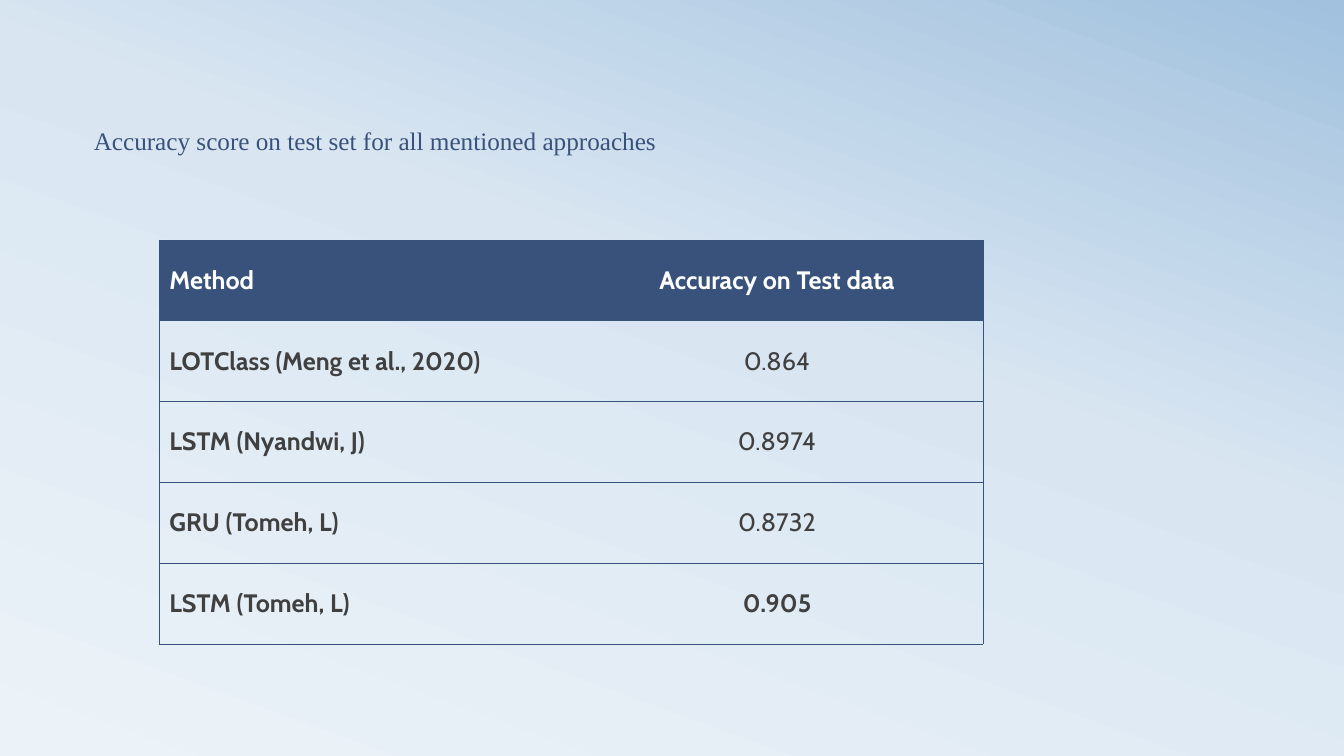
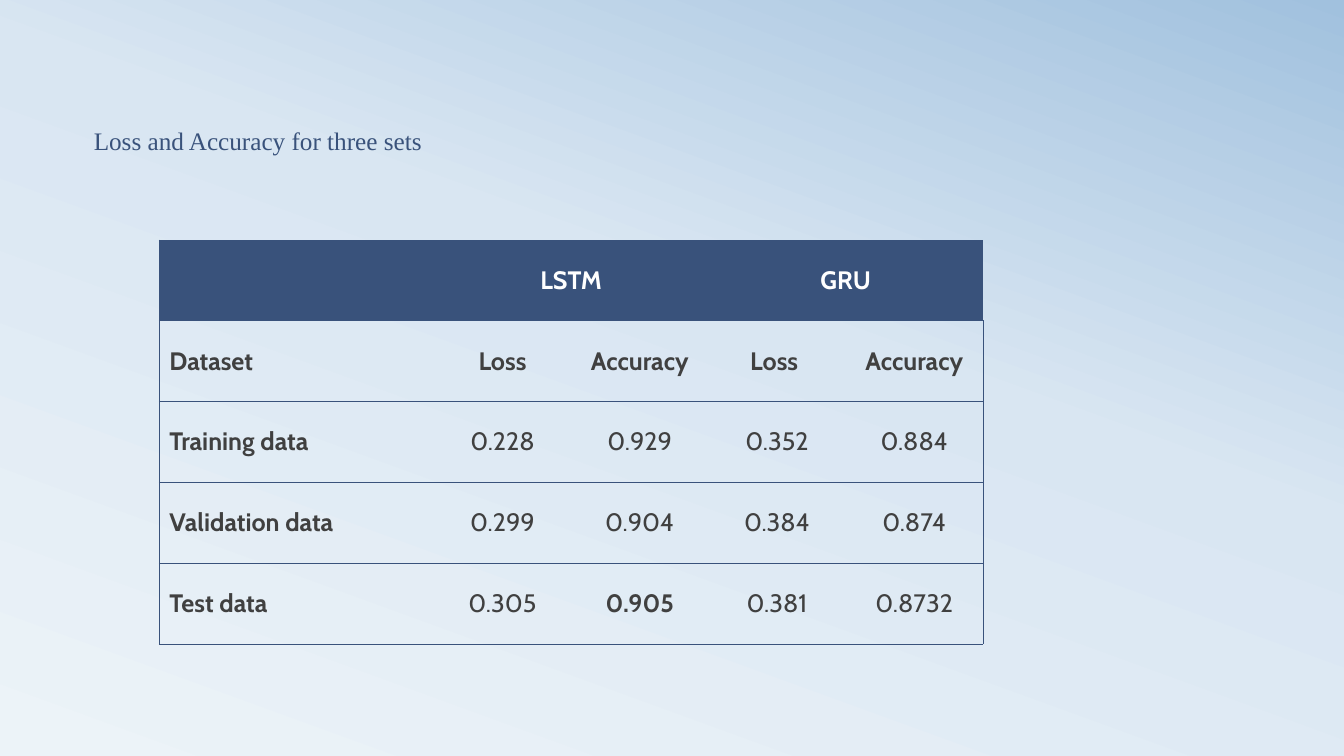
import copy

import lxml.etree
import pptx
import pptx.dml.color
import pptx.enum.text
import pptx.oxml.ns
import pptx.util

Inches = pptx.util.Inches
Pt = pptx.util.Pt
RGBColor = pptx.dml.color.RGBColor
PP_ALIGN = pptx.enum.text.PP_ALIGN
MSO_ANCHOR = pptx.enum.text.MSO_ANCHOR
qn = pptx.oxml.ns.qn

NAVY = RGBColor(0x39, 0x52, 0x7B)
WHITE = RGBColor(0xFF, 0xFF, 0xFF)
CHARCOAL = RGBColor(0x40, 0x40, 0x40)
BACKGROUND_STOPS = [
    (0, RGBColor(0xEC, 0xF3, 0xF8)),
    (0.58, RGBColor(0xD9, 0xE6, 0xF2)),
    (1, RGBColor(0xA1, 0xC1, 0xDE)),
]
TITLE_FONT = "Times New Roman"
TABLE_FONT = "Cabin"
TEXT_SIZE = Pt(18)
BORDER_WIDTH = Pt(0.5)
PLAIN_TABLE_STYLE = "{2D5ABB26-0587-4C30-8999-92F81FD0307C}"
TABLE_LEFT, TABLE_TOP = Inches(1.58), Inches(2.38)
TABLE_WIDTH, TABLE_HEIGHT = Inches(8.17), Inches(4.01)
BEST_SCORE = "0.905"

METHOD_ROWS = [
    ["Method", "Accuracy on Test data"],
    ["LOTClass (Meng et al., 2020)", "0.864"],
    ["LSTM (Nyandwi, J)", "0.8974"],
    ["GRU (Tomeh, L)", "0.8732"],
    ["LSTM (Tomeh, L)", BEST_SCORE],
]
DATASET_ROWS = [
    ["", "LSTM", "", "GRU", ""],
    ["Dataset", "Loss", "Accuracy", "Loss ", "Accuracy"],
    ["Training data", "0.228", "0.929", "0.352", "0.884"],
    ["Validation data", "0.299", "0.904", "0.384", "0.874"],
    ["Test data", "0.305", BEST_SCORE, "0.381", "0.8732"],
]


def set_background(master):
    fill = master.background.fill
    fill.gradient()
    fill.gradient_angle = 70
    stop_list = master.element.xpath(".//p:bg//a:gsLst")[0]
    stop_list.append(copy.deepcopy(stop_list[0]))
    for stop, (position, color) in zip(fill.gradient_stops, BACKGROUND_STOPS):
        stop.position = position
        stop.color.rgb = color


def add_run(paragraph, text, font_name, color, bold=False):
    run = paragraph.add_run()
    run.text = text
    run.font.name = font_name
    run.font.size = TEXT_SIZE
    run.font.color.rgb = color
    run.font.bold = bold


def set_title(slide, text):
    title = slide.shapes.title
    title.left, title.top = Inches(0.83), Inches(0.42)
    title.width, title.height = Inches(12), Inches(1.17)
    frame = title.text_frame
    frame.auto_size = pptx.enum.text.MSO_AUTO_SIZE.NONE
    frame.vertical_anchor = MSO_ANCHOR.BOTTOM
    paragraph = frame.paragraphs[0]
    paragraph.alignment = PP_ALIGN.LEFT
    paragraph.line_spacing = 0.8
    add_run(paragraph, text, TITLE_FONT, NAVY)


def set_borders(cell, sides):
    properties = cell._tc.get_or_add_tcPr()
    for index, side in enumerate(side for side in "LRTB" if side in sides):
        line = lxml.etree.Element(qn(f"a:ln{side}"), w=str(BORDER_WIDTH))
        fill = lxml.etree.SubElement(line, qn("a:solidFill"))
        lxml.etree.SubElement(fill, qn("a:srgbClr"), val=str(NAVY))
        properties.insert(index, line)


def format_cell(cell, text, is_header, is_first, is_last):
    cell.vertical_anchor = MSO_ANCHOR.MIDDLE
    if is_header:
        cell.fill.solid()
        cell.fill.fore_color.rgb = NAVY
    else:
        cell.fill.background()
    set_borders(cell, "TB" + "L" * is_first + "R" * is_last)
    if text:
        paragraph = cell.text_frame.paragraphs[0]
        paragraph.alignment = PP_ALIGN.LEFT if is_first else PP_ALIGN.CENTER
        bold = text == BEST_SCORE or not text[0].isdigit()
        add_run(paragraph, text, TABLE_FONT, WHITE if is_header else CHARCOAL, bold)


def add_results_table(slide, rows, column_weights, header_spans=()):
    frame = slide.shapes.add_table(
        len(rows), len(column_weights), TABLE_LEFT, TABLE_TOP, TABLE_WIDTH, TABLE_HEIGHT
    )
    table = frame.table
    table.horz_banding = False
    table._tbl.tblPr.find(qn("a:tableStyleId")).text = PLAIN_TABLE_STYLE
    for column, weight in zip(table.columns, column_weights):
        column.width = int(TABLE_WIDTH * weight / sum(column_weights))
    for first, last in header_spans:
        table.cell(0, first).merge(table.cell(0, last))
    last_column = len(column_weights) - 1
    for row_index, row in enumerate(rows):
        for column_index, text in enumerate(row):
            format_cell(
                table.cell(row_index, column_index),
                text,
                row_index == 0,
                column_index == 0,
                column_index == last_column,
            )


def add_results_slide(presentation, title, rows, column_weights, header_spans=()):
    slide = presentation.slides.add_slide(presentation.slide_layouts[5])
    set_title(slide, title)
    add_results_table(slide, rows, column_weights, header_spans)


def main():
    presentation = pptx.Presentation()
    presentation.slide_width = Inches(13.33)
    presentation.slide_height = Inches(7.5)
    set_background(presentation.slide_master)
    add_results_slide(
        presentation,
        "Accuracy score on test set for all mentioned approaches",
        METHOD_ROWS,
        [1, 1],
    )
    add_results_slide(
        presentation,
        "Loss and Accuracy for three sets",
        DATASET_ROWS,
        [2, 1, 1, 1, 1],
        [(1, 2), (3, 4)],
    )
    presentation.save("out.pptx")


if __name__ == "__main__":
    main()
